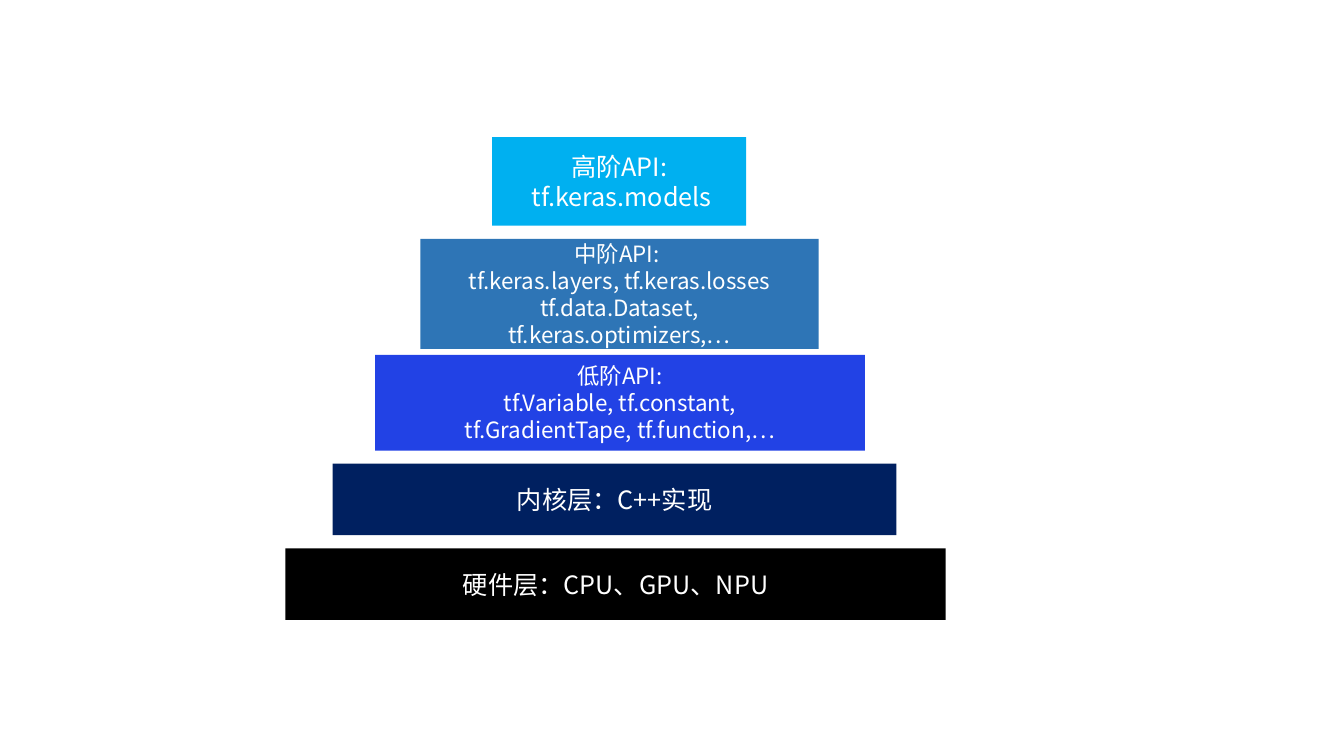
from dataclasses import dataclass

from lxml import etree
from pptx import Presentation
from pptx.dml.color import RGBColor
from pptx.enum.shapes import MSO_SHAPE
from pptx.enum.text import MSO_ANCHOR, PP_ALIGN
from pptx.oxml.ns import qn
from pptx.util import Inches, Pt

RECT = MSO_SHAPE.RECTANGLE
CENTER = PP_ALIGN.CENTER
MIDDLE = MSO_ANCHOR.MIDDLE
FONT = "Noto Sans CJK SC"


@dataclass
class Layer:
    left: float
    top: float
    width: float
    height: float
    fill: str
    size: int
    text: str


LAYERS = [
    Layer(2.83, 5.44, 6.55, 0.71, "000000", 18, "硬件层：CPU、GPU、NPU"),
    Layer(3.3, 4.6, 5.59, 0.71, "002060", 18, "内核层：C++实现"),
    Layer(3.72, 3.52, 4.86, 0.95, "2242E5", 16,
          "低阶API:\n tf.Variable, tf.constant, \ntf.GradientTape, tf.function,…"),
    Layer(4.17, 2.37, 3.95, 1.09, "2E75B6", 16,
          "中阶API: \ntf.keras.layers, tf.keras.losses\vtf.data.Dataset, tf.keras.optimizers,…"),
    Layer(4.88, 1.36, 2.52, 0.88, "00B0F0", 18, "高阶API:\n tf.keras.models"),
]


def color(value: str) -> RGBColor:
    return RGBColor.from_string(value)


def format_paragraph(p, size: int) -> None:
    p.alignment = CENTER
    for r in p.runs:
        r.font.size = Pt(size)
        r.font.name = FONT
        r.font.color.rgb = color("FFFFFF")
        etree.SubElement(r.font._element, qn("a:ea"), typeface=FONT)
    for line_break in p._p.findall(qn("a:br")):
        etree.SubElement(line_break, qn("a:rPr"), sz=str(size * 100))


def add_layer(slide, layer: Layer) -> None:
    sp = slide.shapes.add_shape(RECT, Inches(layer.left), Inches(layer.top),
                                Inches(layer.width), Inches(layer.height))
    sp.shadow.inherit = False
    sp.fill.solid()
    sp.fill.fore_color.rgb = color(layer.fill)
    sp.line.fill.background()
    tf = sp.text_frame
    tf.word_wrap = True
    tf.vertical_anchor = MIDDLE
    tf.text = layer.text
    for p in tf.paragraphs:
        format_paragraph(p, layer.size)


def main() -> None:
    prs = Presentation()
    prs.slide_width = Inches(13.33)
    prs.slide_height = Inches(7.5)
    slide = prs.slides.add_slide(prs.slide_layouts[6])
    for layer in LAYERS:
        add_layer(slide, layer)
    prs.save("out.pptx")


if __name__ == "__main__":
    main()
